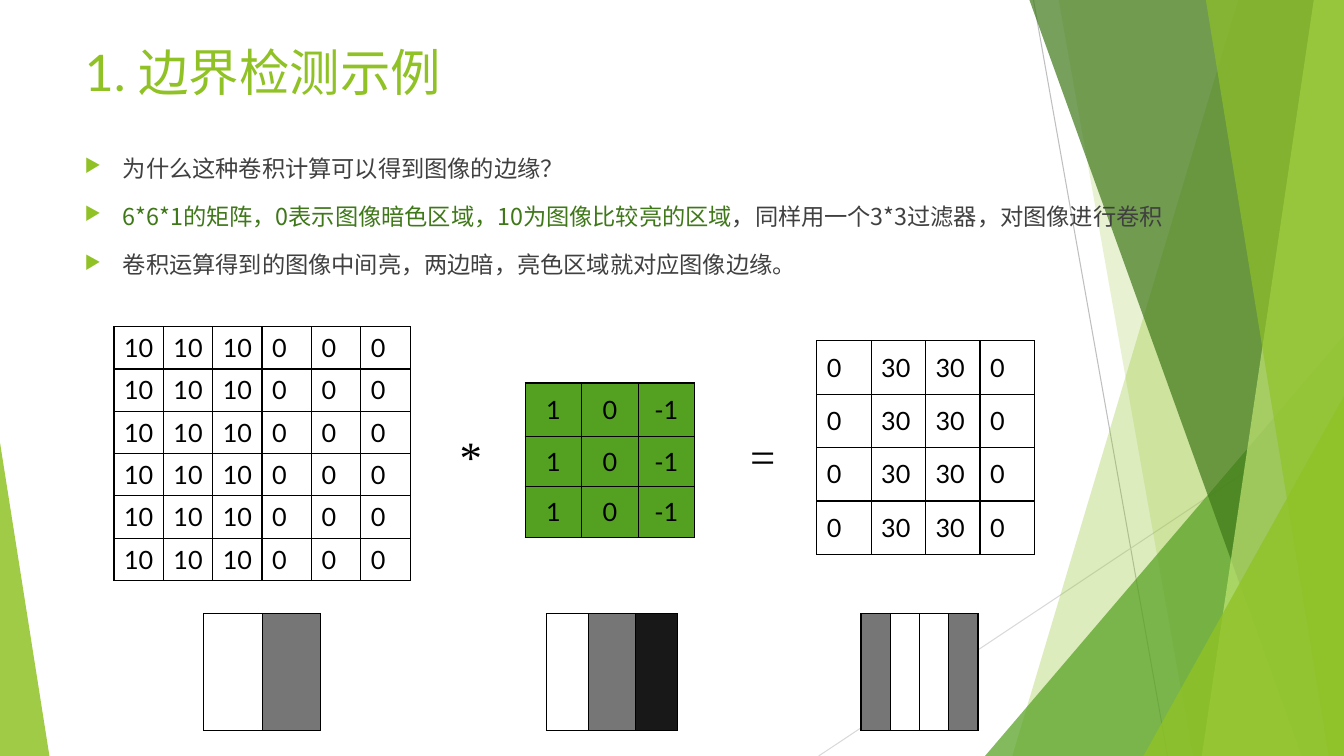
from lxml.etree import SubElement
from pptx import Presentation
from pptx.dml.color import RGBColor
from pptx.enum.shapes import MSO_CONNECTOR, MSO_SHAPE
from pptx.enum.text import MSO_ANCHOR as ANCHOR, PP_ALIGN as ALIGN
from pptx.oxml.ns import qn
from pptx.util import Inches, Pt

COLORS = {
    "white": "FFFFFF", "black": "000000", "text": "404040",
    "lime": "90C226", "green": "54A021", "forest": "3F7819", "pale": "C0E474",
    "gray": "767676", "dark": "181818", "rule": "BFBFBF", "light_rule": "D9D9D9",
}
LATIN, CJK, SERIF = "Lato", "Noto Sans CJK SC", "Times New Roman"
WIDTH, HEIGHT = 13.33, 7.5

# top-left x, top-right x, bottom-left x of each facet; all reach the right edge
FACETS_BACK = [(12.28, 10.04, "lime", 30), (10.5, 11.83, "lime", 20)]
FACETS_FRONT = [(10.21, 12.91, "forest", 70), (13.03, 11.92, "pale", 70),
                (11.96, 13.18, "lime", 65)]
BULLETS = [
    [("为什么这种卷积计算可以得到图像的边缘？", "text")],
    [("6*6*1的矩阵，0表示图像暗色区域，10为图像比较亮的区域", "forest"),
     ("，同样用一个3*3过滤器，对图像进行卷积", "text")],
    [("卷积运算得到的图像中间亮，两边暗，亮色区域就对应图像边缘。", "text")],
]


def rgb(name):
    return RGBColor.from_string(COLORS[name])


def add_run(paragraph, text, size=18, font=LATIN, color="black"):
    run = paragraph.add_run()
    run.text = text
    run.font.size = Pt(size)
    run.font.name = font
    run.font.color.rgb = rgb(color)
    SubElement(run.font._element, qn("a:ea"), typeface=CJK)


def add_text_frame(slide, left, top, width, height):
    box = slide.shapes.add_textbox(*map(Inches, (left, top, width, height)))
    box.text_frame.word_wrap = True
    return box.text_frame


def add_label(slide, box, text, **style):
    add_run(add_text_frame(slide, *box).paragraphs[0], text, **style)


def add_bullet(paragraph, parts):
    paragraph.line_spacing = 1.33
    paragraph.space_before = Pt(8)
    properties = paragraph._p.get_or_add_pPr()
    properties.set("marL", str(Inches(0.38)))
    properties.set("indent", str(Inches(-0.38)))
    bullet_color = SubElement(properties, qn("a:buClr"))
    SubElement(bullet_color, qn("a:srgbClr"), val=COLORS["lime"])
    SubElement(properties, qn("a:buSzPct"), val="80000")
    SubElement(properties, qn("a:buChar"), char="▶")
    for text, color in parts:
        add_run(paragraph, text, size=16.6, font=CJK, color=color)


def paint(shape, color, opacity):
    """Fill a decoration with a translucent colour and drop its outline."""
    shape.shadow.inherit = False
    shape.fill.solid()
    shape.fill.fore_color.rgb = rgb(color)
    for value in shape._element.spPr.findall(".//" + qn("a:srgbClr")):
        SubElement(value, qn("a:alpha"), val=str(opacity * 1000))
    shape.line.fill.background()


def add_facet(slide, top_x, bottom_x, color, opacity):
    """Add a panel with a slanted left edge that runs to the right slide edge."""
    builder = slide.shapes.build_freeform(Inches(top_x), 0)
    corners = [(WIDTH, 0), (WIDTH, HEIGHT), (bottom_x, HEIGHT)]
    builder.add_line_segments([(Inches(x), Inches(y)) for x, y in corners])
    paint(builder.convert_to_shape(), color, opacity)


def add_triangle(slide, left, top, width, apex, color, opacity):
    """Add a triangle that stands on the bottom slide edge."""
    triangle = slide.shapes.add_shape(
        MSO_SHAPE.ISOSCELES_TRIANGLE,
        *map(Inches, (left, top, width, HEIGHT - top)))
    triangle.adjustments[0] = apex
    paint(triangle, color, opacity)


def add_rule(slide, start, end, color):
    rule = slide.shapes.add_connector(
        MSO_CONNECTOR.STRAIGHT, *map(Inches, start + end))
    rule.line.color.rgb = rgb(color)
    rule.line.width = Pt(0.75)
    SubElement(rule._element.spPr, qn("a:effectLst"))


def add_backdrop(slide):
    add_rule(slide, (10.25, 0), (11.58, HEIGHT), "rule")
    add_rule(slide, (WIDTH, 4.03), (8.12, HEIGHT), "light_rule")
    for facet in FACETS_BACK:
        add_facet(slide, *facet)
    add_triangle(slide, 9.77, 3.33, 3.56, 1, "green", 72)
    for facet in FACETS_FRONT:
        add_facet(slide, *facet)
    add_triangle(slide, 11.34, 3.93, 1.99, 1, "lime", 80)
    add_triangle(slide, 0, 4.39, 0.49, 0, "lime", 85)


def style_cell(cell, color):
    for side in ("a:lnL", "a:lnR", "a:lnT", "a:lnB"):
        border = SubElement(cell._tc.get_or_add_tcPr(), qn(side), w=str(Pt(1)))
        fill = SubElement(border, qn("a:solidFill"))
        SubElement(fill, qn("a:srgbClr"), val=COLORS["black"])
    cell.fill.solid()
    cell.fill.fore_color.rgb = rgb(color)
    cell.vertical_anchor = ANCHOR.MIDDLE


def add_grid(slide, left, top, widths, heights):
    """Add a table without the default banding."""
    grid = slide.shapes.add_table(
        len(heights), len(widths),
        *map(Inches, (left, top, sum(widths), sum(heights)))).table
    grid.first_row = grid.horz_banding = False
    for column, width in zip(grid.columns, widths):
        column.width = Inches(width)
    for row, height in zip(grid.rows, heights):
        row.height = Inches(height)
    return grid


def add_matrix(slide, left, top, values, width, heights,
               color="white", align=ALIGN.LEFT):
    """Add a number table in which every row holds the same values."""
    grid = add_grid(slide, left, top, [width] * len(values), heights)
    for row in grid.rows:
        for cell, value in zip(row.cells, values):
            style_cell(cell, color)
            paragraph = cell.text_frame.paragraphs[0]
            paragraph.alignment = align
            add_run(paragraph, str(value))


def add_strip(slide, left, widths, shades):
    """Add a one-row table that shows brightness by column."""
    grid = add_grid(slide, left, 6.09, widths, [1.16])
    for cell, shade in zip(grid.rows[0].cells, shades):
        style_cell(cell, shade)


def main():
    deck = Presentation()
    deck.slide_width, deck.slide_height = Inches(WIDTH), Inches(HEIGHT)
    slide = deck.slides.add_slide(deck.slide_layouts[6])
    add_backdrop(slide)

    add_label(slide, (0.74, 0.36, 9.4, 0.81), "1. 边界检测示例",
              size=36, color="lime")
    body = add_text_frame(slide, 0.74, 1.39, 11.43, 1.67)
    for index, parts in enumerate(BULLETS):
        add_bullet(body.add_paragraph() if index else body.paragraphs[0], parts)

    add_matrix(slide, 1.13, 3.24, [10] * 3 + [0] * 3, 0.49, [0.42] * 6)
    add_matrix(slide, 5.21, 3.8, [1, 0, -1], 0.56, [0.53, 0.5, 0.5],
               color="green", align=ALIGN.CENTER)
    add_matrix(slide, 8.1, 3.38, [0, 30, 30, 0], 0.54, [0.53] * 4)
    add_label(slide, (4.46, 4.2, 0.37, 0.64), "*", size=32, font=SERIF)
    add_label(slide, (7.34, 4.2, 0.51, 0.64), "=", size=32, font=SERIF)

    add_strip(slide, 2.02, [0.58] * 2, ["white", "gray"])
    add_strip(slide, 5.42, [0.42, 0.46, 0.42], ["white", "gray", "dark"])
    add_strip(slide, 8.54, [0.29] * 4, ["gray", "white", "white", "gray"])
    deck.save("out.pptx")


if __name__ == "__main__":
    main()
